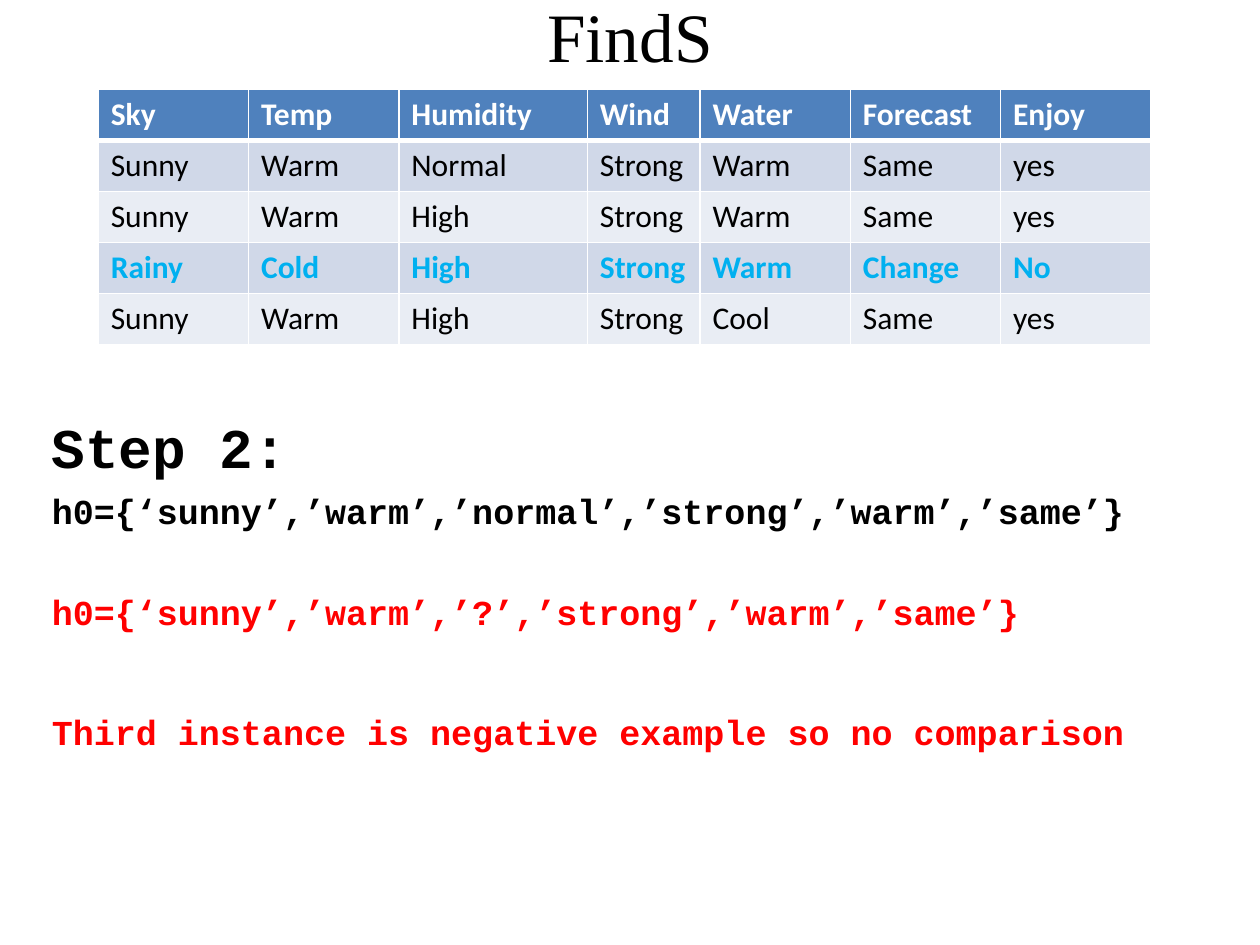
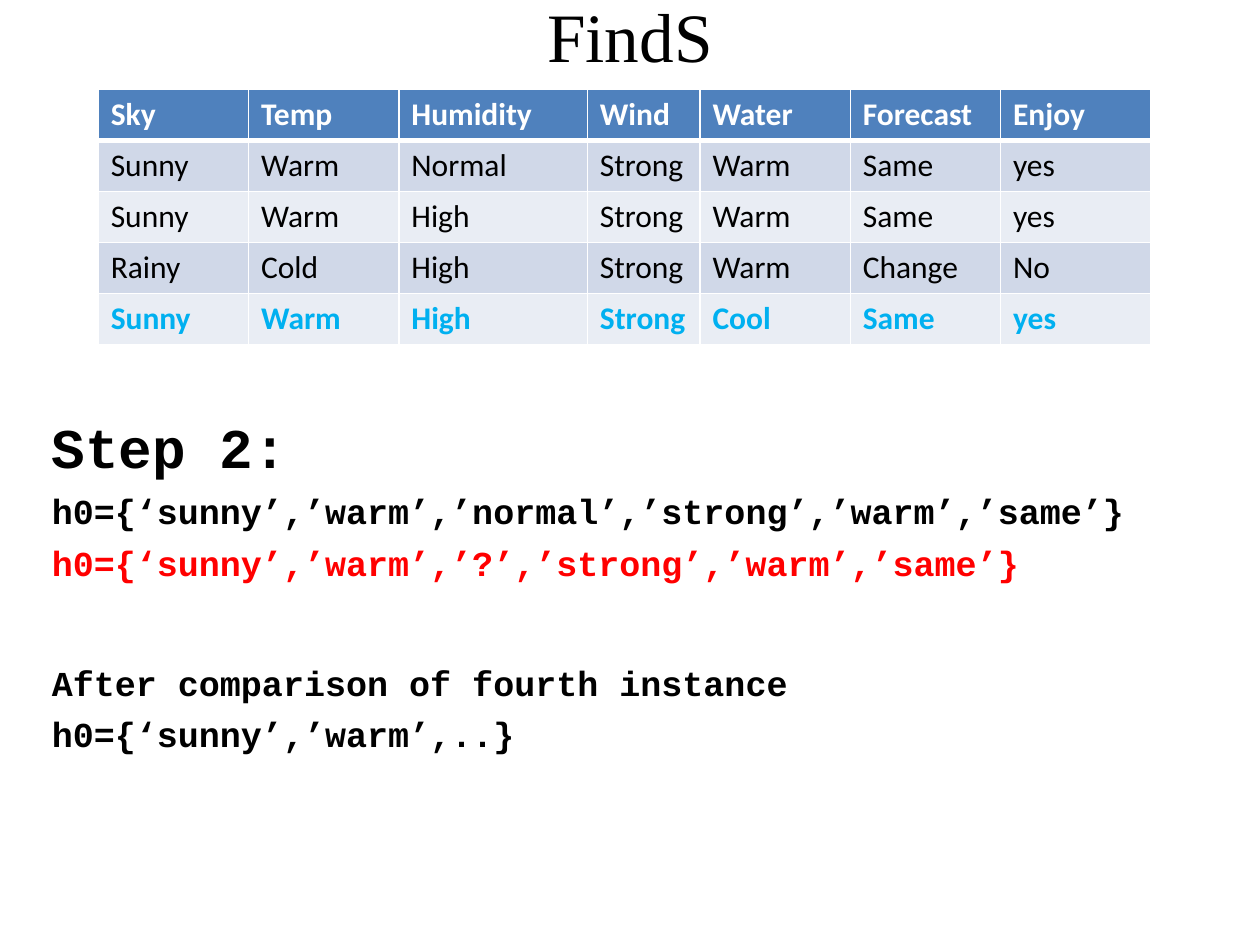
from lxml import etree
from pptx import Presentation
from pptx.dml.color import RGBColor
from pptx.enum.text import MSO_ANCHOR as Anchor, MSO_AUTO_SIZE as Fit, PP_ALIGN as Align
from pptx.oxml.ns import qn
from pptx.util import Cm, Pt

BLACK = RGBColor(0x00, 0x00, 0x00)
WHITE = RGBColor(0xFF, 0xFF, 0xFF)
RED = RGBColor(0xFF, 0x00, 0x00)
SKY = RGBColor(0x00, 0xB0, 0xF0)
HEAD = RGBColor(0x4F, 0x81, 0xBD)
BANDS = [RGBColor(0xD0, 0xD8, 0xE8), RGBColor(0xE9, 0xED, 0xF4)]

# Boxes: left, top, width, height in cm
TITLE_BOX = (1.27, 0, 22.86, 1.4)
BODY_BOX = (0.79, 3.18, 23.34, 13.84)
TABLE_BOX = (1.98, 1.8, 21.22, 5.15)
COLS = [3.03, 3.03, 3.8, 2.27, 3.03, 3.03, 3.03]
INSET = 5.14  # keeps the steps clear of the table
INDENT = 0.95
NEAR, MID, FAR = 5.5, 33.5, 44.5  # points between lines

ROWS = [
    ["Sky", "Temp", "Humidity", "Wind", "Water", "Forecast", "Enjoy"],
    ["Sunny", "Warm", "Normal", "Strong", "Warm", "Same", "yes"],
    ["Sunny", "Warm", "High", "Strong", "Warm", "Same", "yes"],
    ["Rainy", "Cold", "High", "Strong", "Warm", "Change", "No"],
    ["Sunny", "Warm", "High", "Strong", "Cool", "Same", "yes"],
]
FIRST = "h0={‘sunny’,’warm’,’normal’,’strong’,’warm’,’same’}"
NEXT = "h0={‘sunny’,’warm’,’?’,’strong’,’warm’,’same’}"

# Each slide: number of the marked row, then lines of text, colour, gap above
SLIDES = [
    (3, [
        (FIRST, BLACK, NEAR),
        (NEXT, RED, MID),
        ("Third instance is negative example so no comparison", RED, FAR),
    ]),
    (4, [
        (FIRST, BLACK, NEAR),
        (NEXT, RED, NEAR),
        ("After comparison of fourth instance", BLACK, FAR),
        ("h0={‘sunny’,’warm’,..}", BLACK, NEAR),
    ]),
]


def write(para, text, font, size, color=BLACK, bold=False, align=Align.LEFT, gap=0):
    para.alignment = align
    para.space_before = Pt(gap)
    run = para.add_run()
    run.text = text
    run.font.name = font
    run.font.size = Pt(size)
    run.font.bold = bold
    run.font.color.rgb = color


def place(shape, box):
    shape.left, shape.top, shape.width, shape.height = map(Cm, box)
    shape.text_frame.auto_size = Fit.NONE
    shape.text_frame.word_wrap = True


def hang(para):
    """Give a paragraph a hanging indent and no bullet."""
    props = para._p.get_or_add_pPr()
    props.set("marL", str(Cm(INDENT)))
    props.set("indent", str(-Cm(INDENT)))
    etree.SubElement(props, qn("a:buNone"))


def edge(cell, side, width):
    line = etree.SubElement(cell._tc.get_or_add_tcPr(), qn(f"a:ln{side}"), w=str(Pt(width)))
    fill = etree.SubElement(line, qn("a:solidFill"))
    etree.SubElement(fill, qn("a:srgbClr"), val=str(WHITE))


def add_title(slide, box):
    title = slide.shapes.title
    place(title, box)
    title.text_frame.vertical_anchor = Anchor.MIDDLE
    write(title.text_frame.paragraphs[0], "FindS", "Times New Roman", 39.6, align=Align.CENTER)


def add_steps(slide, box, lines):
    body = slide.placeholders[1]
    place(body, box)
    frame = body.text_frame
    frame.margin_top = Cm(INSET)
    para = frame.paragraphs[0]
    write(para, "Step 2:", "Courier New", 32, bold=True)
    hang(para)
    for text, color, gap in lines:
        para = frame.add_paragraph()
        write(para, text, "Courier New", 20, color=color, bold=True, gap=gap)
        hang(para)


def add_grid(slide, box, mark):
    """Draw the training data with row number mark picked out."""
    grid = slide.shapes.add_table(len(ROWS), len(COLS), *map(Cm, box)).table
    for col, width in zip(grid.columns, COLS):
        col.width = Cm(width)
    for i, row in enumerate(ROWS):
        grid.rows[i].height = Cm(box[3] / len(ROWS))
        color = WHITE if i == 0 else SKY if i == mark else BLACK
        for j, text in enumerate(row):
            cell = grid.cell(i, j)
            for side in "LRTB":
                edge(cell, side, 3 if (i, side) in [(0, "B"), (1, "T")] else 1)
            cell.fill.solid()
            cell.fill.fore_color.rgb = BANDS[(i - 1) % 2] if i else HEAD
            write(cell.text_frame.paragraphs[0], text, "Calibri", 18,
                  color=color, bold=i in (0, mark))


def main():
    deck = Presentation()
    deck.slide_width, deck.slide_height = Cm(25.4), Cm(19.05)
    for mark, lines in SLIDES:
        slide = deck.slides.add_slide(deck.slide_layouts[1])
        add_title(slide, TITLE_BOX)
        add_steps(slide, BODY_BOX, lines)
        add_grid(slide, TABLE_BOX, mark)
    deck.save("out.pptx")


if __name__ == "__main__":
    main()
